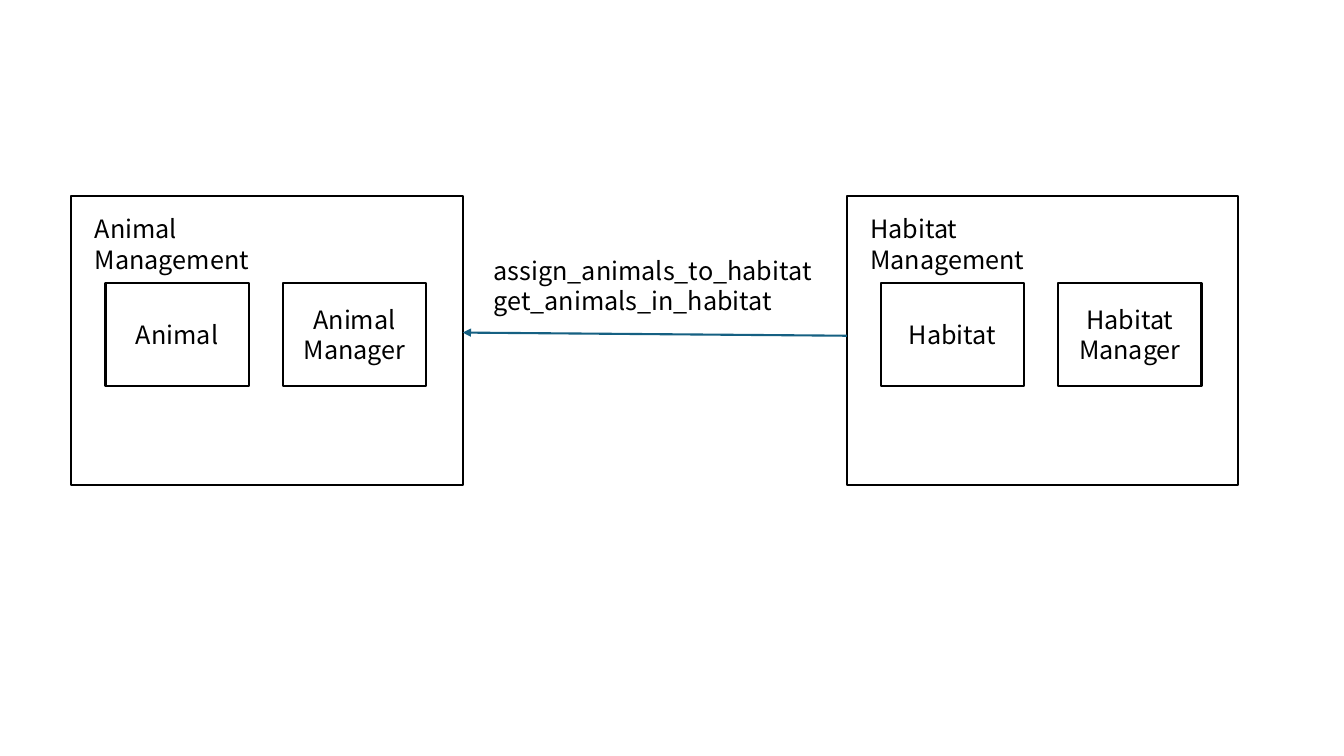
from lxml import etree
from pptx import Presentation
from pptx.dml.color import RGBColor
from pptx.enum.shapes import MSO_CONNECTOR as Connector, MSO_SHAPE as Shape
from pptx.enum.text import MSO_ANCHOR as Anchor, PP_ALIGN as Align
from pptx.oxml.ns import qn
from pptx.util import Cm, Pt

BLACK, TEAL = "000000", "156082"
FONT = {"name": "Noto Sans CJK KR", "size": Pt(18)}


def color(hex_text):
    return RGBColor.from_string(hex_text)


def write(shape, lines, align, anchor):
    frame = shape.text_frame
    frame.word_wrap = True
    frame.vertical_anchor = anchor
    frame.text = "\n".join(lines)
    for para in frame.paragraphs:
        para.alignment = align
        for span in para.runs:
            for name, value in FONT.items():
                setattr(span.font, name, value)
            span.font.color.rgb = color(BLACK)


deck = Presentation()
deck.slide_width, deck.slide_height = Cm(33.87), Cm(19.05)
page = deck.slides.add_slide(deck.slide_layouts[6])

# Each module: an outer frame, a title and two classes side by side
top, width, height = 4.93, 9.86, 7.29
class_width, class_height, class_step = 3.61, 2.59, 4.47
modules = [("Animal", 1.8), ("Habitat", 21.34)]
for subject, left in modules:
    group = page.shapes.add_group_shape()
    boxes = [("", left, top, width, height)]
    for column, label in enumerate([subject, f"{subject} Manager"]):
        boxes.append((label, left + 0.86 + column * class_step, top + 2.21,
                      class_width, class_height))
    for label, *place in boxes:
        box = group.shapes.add_shape(Shape.RECTANGLE, *map(Cm, place))
        box.shadow.inherit = False
        box.fill.background()
        box.line.color.rgb = color(BLACK)
        box.line.width = Pt(1.5)
        if label:
            write(box, [label], Align.CENTER, Anchor.MIDDLE)
    title = group.shapes.add_textbox(Cm(left + 0.34), Cm(top + 0.33), Cm(5), Cm(1.8))
    write(title, [f"{subject} Management"], Align.LEFT, Anchor.TOP)

calls = page.shapes.add_textbox(Cm(12.19), Cm(6.3), Cm(8.71), Cm(2.57))
write(calls, ["assign_animals_to_habitat", "get_animals_in_habitat"],
      Align.LEFT, Anchor.TOP)

# Arrow from the habitat module to the animal module
arrow = page.shapes.add_connector(Connector.STRAIGHT, Cm(21.34), Cm(8.46),
                                  Cm(11.66), Cm(8.38))
arrow.line.color.rgb = color(TEAL)
arrow.line.width = Pt(1.5)
etree.SubElement(arrow.line._get_or_add_ln(), qn("a:tailEnd"), type="triangle")
etree.SubElement(arrow._element.spPr, qn("a:effectLst"))

deck.save("out.pptx")
